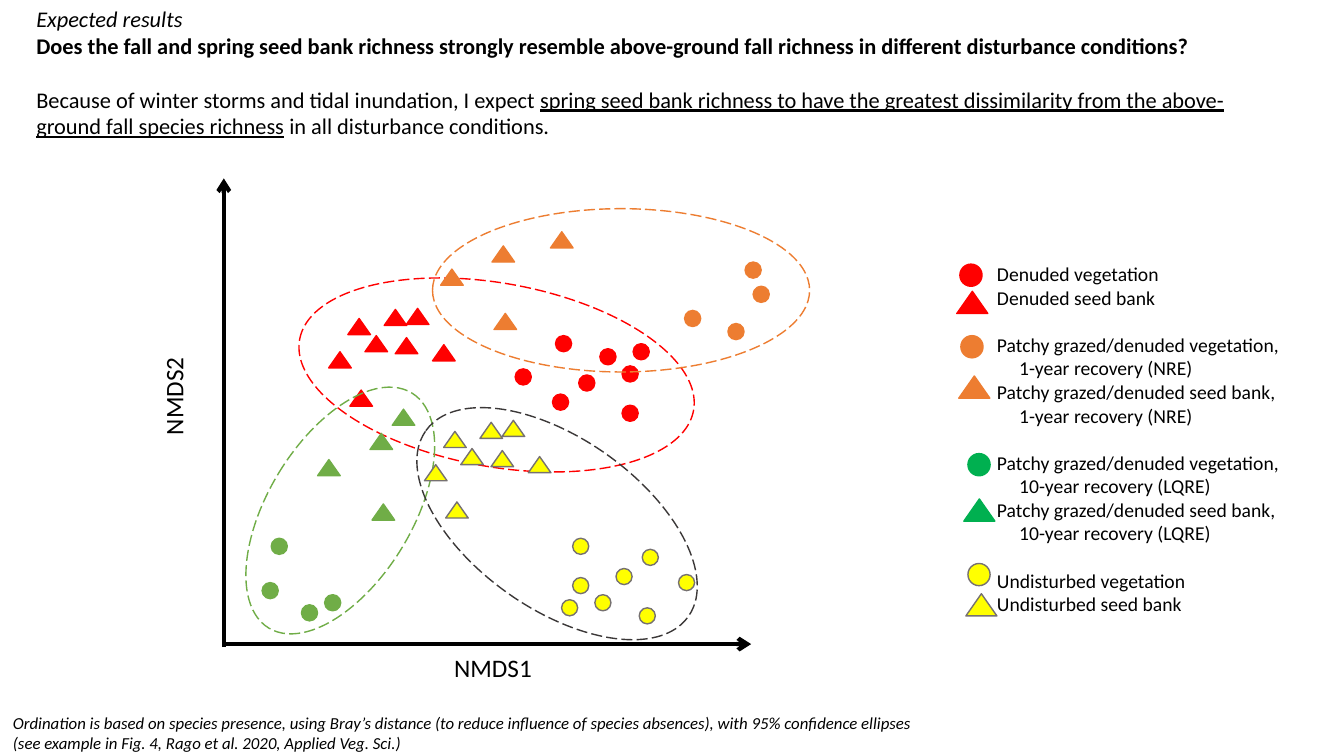
from lxml import etree
from pptx import Presentation, util as u
from pptx.dml.color import RGBColor
from pptx.enum import dml, shapes, text
from pptx.oxml.ns import qn

# Content
HEADING = ["Expected results",
           "Does the fall and spring seed bank richness strongly resemble "
           "above-ground fall richness in different disturbance conditions?"]
EXPECTATION = ["Because of winter storms and tidal inundation, I expect ",
               "spring seed bank richness to have the greatest dissimilarity "
               "from the above-ground fall species richness",
               " in all disturbance conditions."]
FOOTNOTE = ["Ordination is based on species presence, using Bray’s distance (to reduce "
            "influence of species absences), with 95% confidence ellipses",
            "(see example in Fig. 4, Rago et al. 2020, Applied Veg. Sci.)"]

# Axes: start, tip, title, title box, rotation
AXES = [((2.22, 6.42), (2.22, 1.77), "NMDS2", (1.23, 3.73, 0.98, 0.4), 270),
        ((2.24, 6.39), (7.45, 6.39), "NMDS1", (4.4, 6.42, 0.98, 0.4), 0)]

# Legend: label, fill, line, corner of the mark; vegetation and seed bank alternate
LEGEND = [
    ("Denuded vegetation", "FF0000", "FF0000", (9.52, 2.62)),
    ("Denuded seed bank", "FF0000", "FF0000", (9.49, 2.89)),
    ("Patchy grazed/denuded vegetation,\v1-year recovery (NRE)", "ED7D31", "ED7D31", (9.53, 3.33)),
    ("Patchy grazed/denuded seed bank,\v1-year recovery (NRE)", "ED7D31", "ED7D31", (9.51, 3.73)),
    ("Patchy grazed/denuded vegetation,\v10-year recovery (LQRE)", "00B050", "00B050", (9.6, 4.5)),
    ("Patchy grazed/denuded seed bank,\v10-year recovery (LQRE)", "00B050", "00B050", (9.56, 4.95)),
    ("Undisturbed vegetation", "FFFF00", "767171", (9.6, 5.59)),
    ("Undisturbed seed bank", "FFFF00", "767171", (9.58, 5.89)),
]

# Conditions: corners of the marks, and the confidence ellipse around them
CONDITIONS = [
    dict(fill="FF0000", line="FF0000",
         vegetation=[(5.51, 3.33), (5.11, 3.66), (6.17, 3.63), (5.74, 3.72),
                     (5.48, 3.91), (6.28, 3.41), (5.95, 3.46), (6.17, 4.02)],
         seed_bank=[(3.45, 3.16), (3.62, 3.33), (3.81, 3.07), (3.92, 3.35),
                    (3.47, 3.87), (4.29, 3.42), (4.03, 3.06), (3.26, 3.49)],
         ellipse=(2.94, 2.81, 3.97, 1.82), turn=10.2, outline="FF0000"),
    dict(fill="ED7D31", line="ED7D31",
         vegetation=[(6.79, 3.08), (7.47, 2.84), (7.22, 3.21), (7.39, 2.6)],
         seed_bank=[(4.88, 2.44), (4.9, 3.11), (5.46, 2.3), (4.37, 2.67)],
         ellipse=(4.29, 2.07, 3.74, 1.62), turn=0, outline="ED7D31"),
    dict(fill="70AD47", line="70AD47",
         vegetation=[(2.69, 5.34), (2.99, 6), (2.6, 5.78), (3.22, 5.9)],
         seed_bank=[(3.67, 4.3), (3.69, 5), (3.89, 4.06), (3.15, 4.56)],
         ellipse=(2.66, 3.7, 1.43, 2.73), turn=31.3, outline="70AD47"),
    dict(fill="FFFF00", line="767171",
         vegetation=[(6.34, 6.03), (6.73, 5.7), (5.68, 5.73), (6.11, 5.64),
                     (6.37, 5.45), (5.57, 5.95), (5.9, 5.9), (5.68, 5.34)],
         seed_bank=[(4.4, 4.28), (4.57, 4.45), (4.76, 4.19), (4.87, 4.47),
                    (4.42, 4.98), (5.24, 4.53), (4.98, 4.17), (4.21, 4.61)],
         ellipse=(3.93, 4.35, 3.19, 1.69), turn=35.3, outline="3B3838"),
]

CIRCLE, TRIANGLE = shapes.MSO_SHAPE.OVAL, shapes.MSO_SHAPE.ISOSCELES_TRIANGLE
MARK_HEIGHT, LEGEND_MARK_HEIGHT = 0.16, 0.22
TRIANGLE_RATIO = 1.4
LEGEND_LINE = 17  # height of one 14-point line, in points

deck = Presentation()
deck.slide_width, deck.slide_height = u.Inches(13.33), u.Inches(7.5)
page = deck.slides.add_slide(deck.slide_layouts[1])


def color(value):
    return RGBColor.from_string(value)


def place(item, area):
    item.left, item.top, item.width, item.height = map(u.Inches, area)


def write(box, lines, size, wrap=True, align=text.PP_ALIGN.LEFT, italic=False):
    frame = box.text_frame
    frame.text = "\n".join(lines)
    frame.word_wrap = wrap
    frame.auto_size = text.MSO_AUTO_SIZE.NONE
    frame.vertical_anchor = text.MSO_ANCHOR.TOP
    for para in frame.paragraphs:
        para.alignment = align
        para.space_before = u.Pt(0)
        font = para.font
        font.name, font.size, font.italic = "Calibri", u.Pt(size), italic
        font.color.rgb = color("000000")
    return frame.paragraphs


def add_text(area, *args, **options):
    box = page.shapes.add_textbox(*map(u.Inches, area))
    return box, write(box, *args, **options)


def add_outline(kind, area, line):
    shape = page.shapes.add_shape(kind, *map(u.Inches, area))
    shape.shadow.inherit = False
    shape.line.color.rgb, shape.line.width = color(line), u.Pt(1)
    return shape


def add_mark(kind, corner, height, fill, line):
    width = height * (TRIANGLE_RATIO if kind == TRIANGLE else 1)
    mark = add_outline(kind, (*corner, width, height), line)
    mark.fill.solid()
    mark.fill.fore_color.rgb = color(fill)


# Heading and expectation
title, body = page.shapes.title, page.placeholders[1]
place(title, (0.26, 0, 12.53, 0.8))
top_line, question = write(title, HEADING, 16)
top_line.font.italic, top_line.font.bold = True, False
question.font.bold = True

place(body, (0.26, 0.8, 12.53, 0.92))
para, = write(body, [""], 16)
for part in EXPECTATION:
    span = para.add_run()
    span.text = part
    span.font.underline = part == EXPECTATION[1]
properties = para._p.get_or_add_pPr()
properties.set("marL", "0")
properties.set("indent", "0")
etree.SubElement(properties, qn("a:buNone"))
properties.append(properties.find(qn("a:defRPr")))  # the schema wants it after the bullet

# Footnote
add_text((0.03, 7.02, 9.23, 0.5), FOOTNOTE, 12, italic=True)

# Axes
for start, tip, name, area, turn in AXES:
    axis = page.shapes.add_connector(shapes.MSO_CONNECTOR.STRAIGHT,
                                     *map(u.Inches, start + tip))
    axis.line.color.rgb, axis.line.width = color("000000"), u.Pt(3)
    etree.SubElement(axis.line._get_or_add_ln(), qn("a:tailEnd"), type="arrow")
    etree.SubElement(axis._element.spPr, qn("a:effectLst"))
    box, _ = add_text(area, [name], 18, wrap=False, align=text.PP_ALIGN.CENTER)
    box.rotation = turn

# Legend: hanging indent, one empty line's height between conditions
for index, (_, fill, line, corner) in enumerate(LEGEND):
    add_mark((CIRCLE, TRIANGLE)[index % 2], corner, LEGEND_MARK_HEIGHT, fill, line)
_, entries = add_text((9.79, 2.55, 3.07, 3.64), [entry[0] for entry in LEGEND], 14)
for index, para in enumerate(entries):
    properties = para._p.get_or_add_pPr()
    properties.set("marL", str(u.Inches(0.22)))
    properties.set("indent", str(-u.Inches(0.22)))
    if index and index % 2 == 0:
        para.space_before = u.Pt(LEGEND_LINE)

# Ordination marks and confidence ellipses
for condition in CONDITIONS:
    for kind, group in ((CIRCLE, "vegetation"), (TRIANGLE, "seed_bank")):
        for corner in condition[group]:
            add_mark(kind, corner, MARK_HEIGHT, condition["fill"], condition["line"])
    ellipse = add_outline(CIRCLE, condition["ellipse"], condition["outline"])
    ellipse.fill.background()
    ellipse.line.dash_style = dml.MSO_LINE.LONG_DASH
    ellipse.rotation = condition["turn"]

deck.save("out.pptx")
